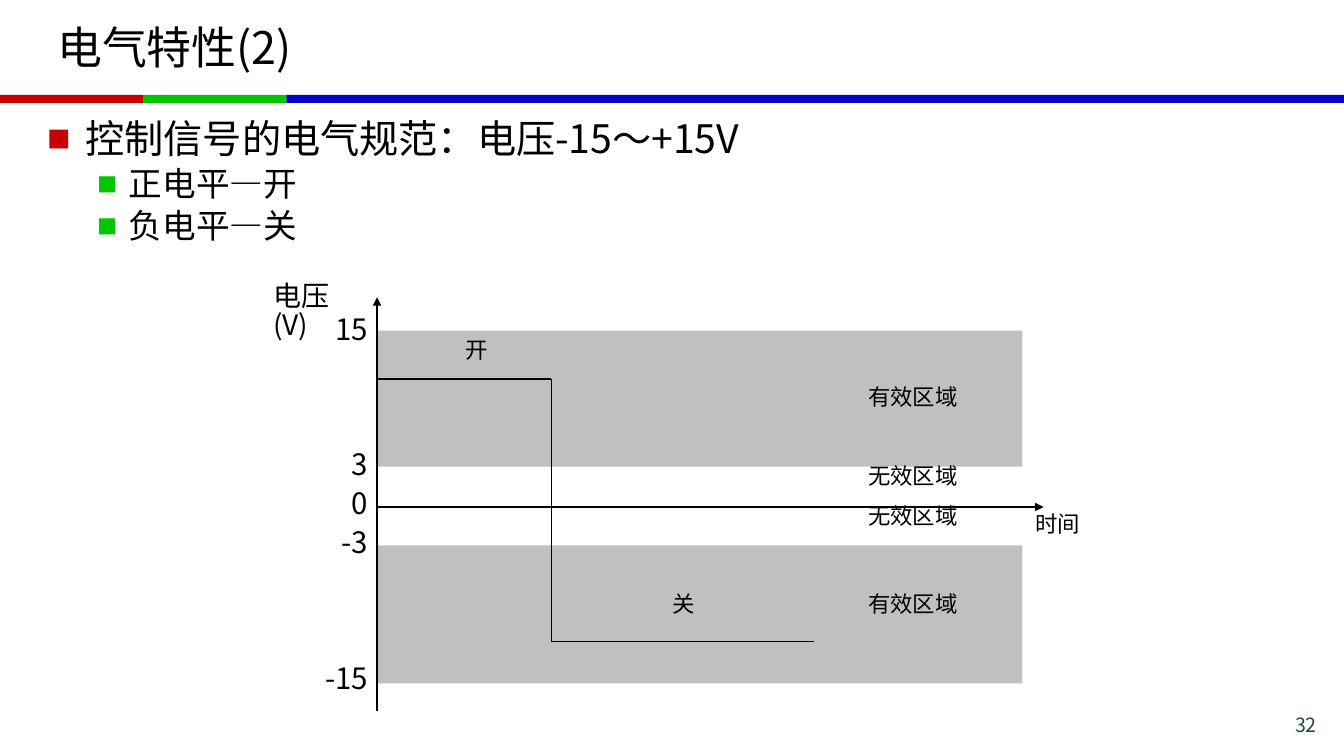
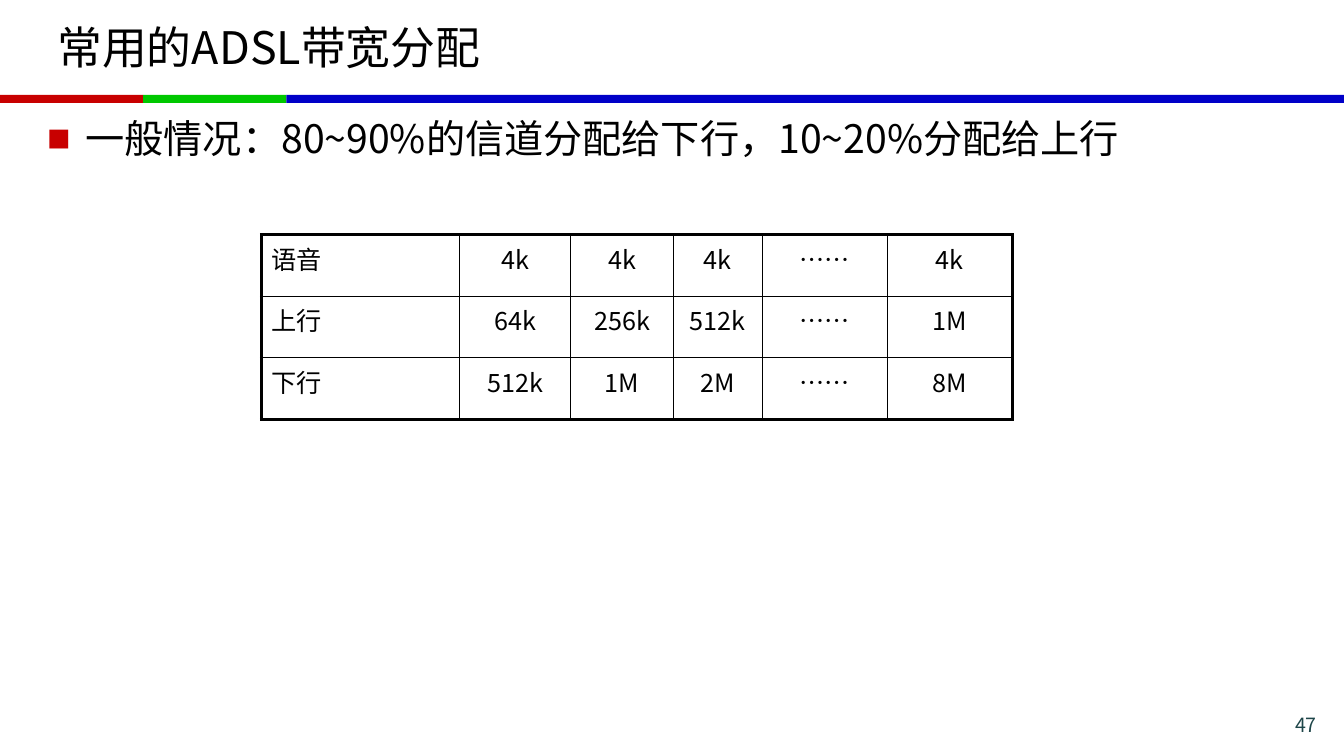
from lxml import etree
from pptx import Presentation
from pptx.dml.color import RGBColor
from pptx.enum import shapes, text
from pptx.oxml.ns import qn
from pptx.util import Inches, Pt

FONT = "Noto Sans CJK SC"
BLACK, WHITE, GRAY, TEAL = "000000", "FFFFFF", "C0C0C0", "1E4649"
RED, GREEN, BLUE = "C80000", "00C800", "0000C8"
LEFT, CENTER, RIGHT = text.PP_ALIGN.LEFT, text.PP_ALIGN.CENTER, text.PP_ALIGN.RIGHT
LINE_SPACING = 0.87

BAND = [(0, 1.42, RED), (1.42, 1.42, GREEN), (2.84, 10.49, BLUE)]
BULLET_LEVELS = [
    {"size": 28, "color": RED, "margin": 0.38, "indent": -0.38},
    {"size": 24, "color": GREEN, "margin": 0.81, "indent": -0.31},
]

VOLTAGE_SLIDE = {
    "title": "电气特性(2)",
    "number": "32",
    "bullets": [(0, "控制信号的电气规范：电压-15～+15V"), (1, "正电平—开"), (1, "负电平—关")],
}
ADSL_SLIDE = {
    "title": "常用的ADSL带宽分配",
    "number": "47",
    "bullets": [(0, "一般情况：80~90%的信道分配给下行，10~20%分配给上行")],
}

AXIS_X, AXIS_Y = 3.74, 5.03
AXES = [((AXIS_X, 7.05), (AXIS_X, 2.95)), ((AXIS_X, AXIS_Y), (10.35, AXIS_Y))]
VALID_ZONES = [(3.28, 1.35), (5.41, 1.37)]
SIGNAL = [(AXIS_X, 3.76), (5.47, 3.76), (5.47, 6.36), (8.07, 6.36)]
TICKS = [("15", 3.13), ("3", 4.47), ("0", 4.86), ("-3", 5.25), ("-15", 6.6)]
DIAGRAM_LABELS = [
    ("有效区域", 8.61, 3.84, 16),
    ("无效区域", 8.61, 4.62, 16),
    ("无效区域", 8.61, 5.02, 16),
    ("有效区域", 8.61, 5.89, 16),
    ("时间", 10.27, 5.1, 16),
    ("电压\v(V)", 2.71, 2.81, 20),
    ("开", 4.62, 3.37, 16),
    ("关", 6.67, 5.89, 16),
]

COLUMN_WIDTHS = [1.97, 1.1, 1.02, 0.88, 1.24, 1.24]
ROW_HEIGHT = 0.61
BANDWIDTHS = [
    ["语音", "4k", "4k", "4k", "……", "4k"],
    ["上行", "64k", "256k", "512k", "……", "1M"],
    ["下行", "512k", "1M", "2M", "……", "8M"],
]


def rgb(color):
    return RGBColor.from_string(color)


def add_xml(parent, tag, **attributes):
    return etree.SubElement(parent, qn(tag), attributes)


def write(paragraph, content, size, color=BLACK, align=LEFT):
    paragraph.text = content
    paragraph.alignment = align
    for run in paragraph.runs:
        for name, value in {"size": Pt(size), "name": FONT}.items():
            setattr(run.font, name, value)
        run.font.color.rgb = rgb(color)
        add_xml(run.font._element, "a:ea", typeface=FONT)


def add_text_frame(slide, left, top, width, height, margins=(0.1, 0.05)):
    box = slide.shapes.add_textbox(*map(Inches, (left, top, width, height)))
    frame = box.text_frame
    horizontal, vertical = map(Inches, margins)
    settings = {
        "word_wrap": True,
        "margin_left": horizontal,
        "margin_right": horizontal,
        "margin_top": vertical,
        "margin_bottom": vertical,
    }
    for name, value in settings.items():
        setattr(frame, name, value)
    frame.paragraphs[0].line_spacing = LINE_SPACING
    return frame


def add_label(slide, content, left, top, size, width=1.2, align=LEFT):
    frame = add_text_frame(slide, left, top, width, 0.35, margins=(0, 0))
    write(frame.paragraphs[0], content, size, align=align)


def add_rectangle(slide, left, top, width, height, color):
    shape = slide.shapes.add_shape(
        shapes.MSO_SHAPE.RECTANGLE, *map(Inches, (left, top, width, height)))
    shape.shadow.inherit = False
    shape.fill.solid()
    shape.fill.fore_color.rgb = rgb(color)
    shape.line.fill.background()


def add_line(slide, start, end, width, arrow=False):
    line = slide.shapes.add_connector(
        shapes.MSO_CONNECTOR.STRAIGHT, *map(Inches, (*start, *end)))
    line.line.color.rgb = rgb(BLACK)
    line.line.width = Pt(width)
    if arrow:
        add_xml(line.line._get_or_add_ln(), "a:tailEnd", type="triangle")
    add_xml(line._element.spPr, "a:effectLst")


def add_bullets(slide, bullets):
    frame = add_text_frame(slide, 0.37, 1.15, 12.6, 5.95)
    for index, (level, content) in enumerate(bullets):
        style = BULLET_LEVELS[level]
        paragraph = frame.add_paragraph() if index else frame.paragraphs[0]
        properties = paragraph._p.get_or_add_pPr()
        properties.set("marL", str(Inches(style["margin"])))
        properties.set("indent", str(Inches(style["indent"])))
        add_xml(add_xml(properties, "a:buClr"), "a:srgbClr", val=style["color"])
        add_xml(properties, "a:buSzPct", val="60000")
        add_xml(properties, "a:buFont", typeface=FONT)
        add_xml(properties, "a:buChar", char="■")
        paragraph.level = level
        paragraph.line_spacing = LINE_SPACING
        if index:
            paragraph.space_before = Pt(0.2 * style["size"])
        write(paragraph, content, style["size"])


def add_base_slide(presentation, content):
    """Add a slide with the shared band, title, page number and bullets."""
    slide = presentation.slides.add_slide(presentation.slide_layouts[6])
    for left, width, color in BAND:
        add_rectangle(slide, left, 0.94, width, 0.08, color)
    title = add_text_frame(slide, 0.47, 0.08, 12.39, 0.84)
    title.vertical_anchor = text.MSO_ANCHOR.MIDDLE
    write(title.paragraphs[0], content["title"], 32)
    add_bullets(slide, content["bullets"])
    number = add_text_frame(slide, 11.86, 7.06, 1.3, 0.28)
    write(number.paragraphs[0], content["number"], 14, TEAL, RIGHT)
    return slide


def add_voltage_diagram(slide):
    for start, end in AXES:
        add_line(slide, start, end, 1.5, arrow=True)
    for top, height in VALID_ZONES:
        add_rectangle(slide, AXIS_X + 0.01, top, 6.39, height, GRAY)
    for start, end in zip(SIGNAL, SIGNAL[1:]):
        add_line(slide, start, end, 0.75)
    for content, left, top, size in DIAGRAM_LABELS:
        add_label(slide, content, left, top, size)
    for content, top in TICKS:
        add_label(slide, content, 3.05, top, 21, width=0.6, align=RIGHT)


def set_borders(cell, outer_sides):
    """Draw thick borders on the outer sides and thin ones elsewhere."""
    properties = cell._tc.get_or_add_tcPr()
    for index, side in enumerate("LRTB"):
        width = Pt(2.25 if side in outer_sides else 1)
        border = etree.Element(qn(f"a:ln{side}"), w=str(width))
        add_xml(add_xml(border, "a:solidFill"), "a:srgbClr", val=BLACK)
        properties.insert(index, border)


def add_bandwidth_table(slide):
    row_count, column_count = len(BANDWIDTHS), len(COLUMN_WIDTHS)
    table = slide.shapes.add_table(
        row_count, column_count, Inches(2.59), Inches(2.33),
        Inches(sum(COLUMN_WIDTHS)), Inches(ROW_HEIGHT * row_count)).table
    table.first_row = table.horz_banding = False
    for column, width in zip(table.columns, COLUMN_WIDTHS):
        column.width = Inches(width)
    for r, values in enumerate(BANDWIDTHS):
        table.rows[r].height = Inches(ROW_HEIGHT)
        for c, value in enumerate(values):
            cell = table.cell(r, c)
            cell.fill.solid()
            cell.fill.fore_color.rgb = rgb(WHITE)
            write(cell.text_frame.paragraphs[0], value, 18, align=CENTER if c else LEFT)
            edges = {"L": c == 0, "R": c == column_count - 1,
                     "T": r == 0, "B": r == row_count - 1}
            set_borders(cell, [side for side, outer in edges.items() if outer])


def main():
    presentation = Presentation()
    presentation.slide_width = Inches(13.33)
    presentation.slide_height = Inches(7.5)
    add_voltage_diagram(add_base_slide(presentation, VOLTAGE_SLIDE))
    add_bandwidth_table(add_base_slide(presentation, ADSL_SLIDE))
    presentation.save("out.pptx")


if __name__ == "__main__":
    main()
